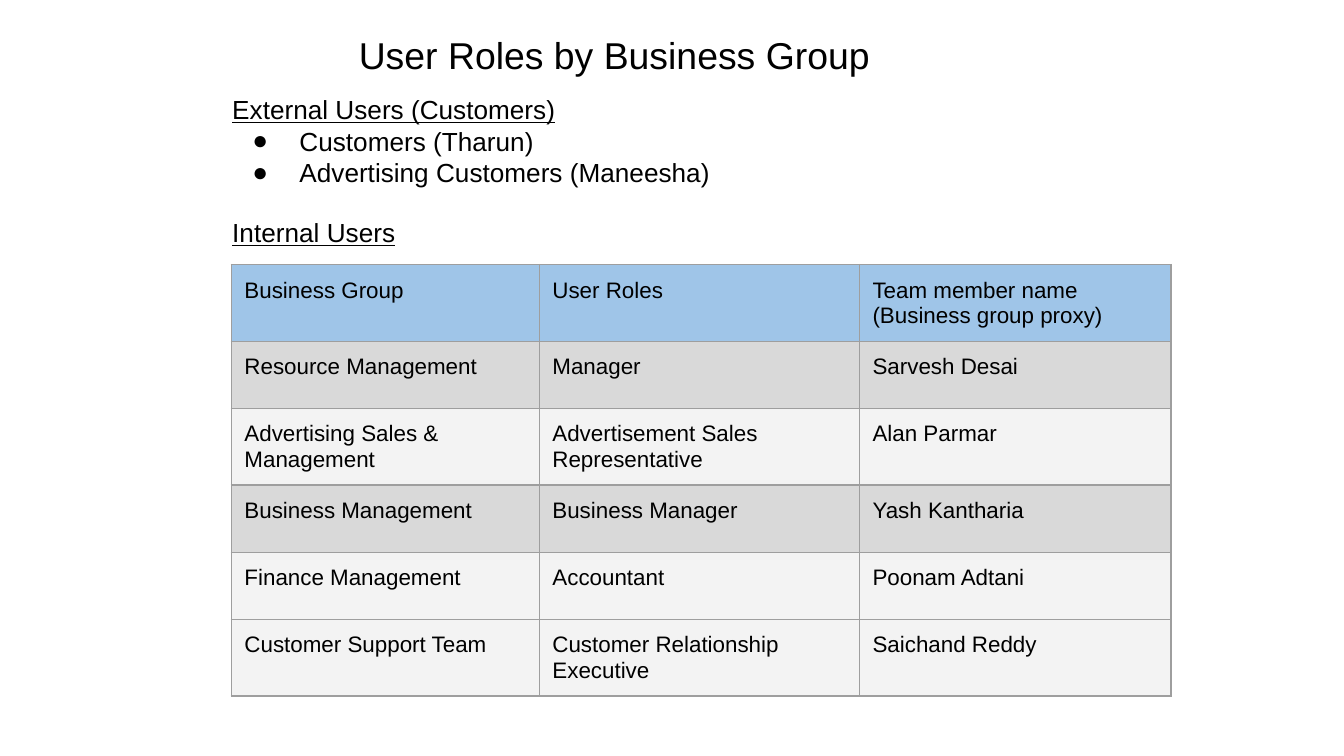
from lxml.etree import SubElement
from pptx import Presentation
from pptx.dml.color import RGBColor
from pptx.enum.text import MSO_ANCHOR as Anchor, MSO_AUTO_SIZE as AutoSize, PP_ALIGN as Align
from pptx.oxml.ns import qn
from pptx.util import Cm, Pt

TITLE = "User Roles by Business Group"
EXTERNAL = ("External Users (Customers)", ["Customers (Tharun)", "Advertising Customers (Maneesha)"])
INTERNAL = ("Internal Users", [])
HEADER = ["Business Group", "User Roles", "Team member name\n(Business group proxy)"]
ROLES = [
    ["Resource Management", "Manager", "Sarvesh Desai"],
    ["Advertising Sales & Management", "Advertisement Sales Representative", "Alan Parmar"],
    ["Business Management", "Business Manager", "Yash Kantharia"],
    ["Finance Management", "Accountant", "Poonam Adtani"],
    ["Customer Support Team", "Customer Relationship Executive", "Saichand Reddy"],
]
BLUE, GREY, LIGHT, BORDER, BLACK = "9FC5E8", "D9D9D9", "F3F3F3", "9E9E9E", "000000"
ROW_FILLS = [BLUE, GREY, LIGHT, GREY, LIGHT, LIGHT]
ROW_HEIGHTS = [1.42, 1.27, 1.42, 1.27, 1.27, 1.27]
COLUMN_WIDTHS = [5.82, 6.05, 5.89]
INSET = Cm(0.25)


def color(code):
    return RGBColor.from_string(code)


def set_insets(target):
    target.margin_left = target.margin_right = INSET
    target.margin_top = target.margin_bottom = INSET


def style(frame, size):
    for para in frame.paragraphs:
        para.alignment = Align.LEFT
        para.font.name = "Arial"
        para.font.size = Pt(size)
        para.font.color.rgb = color(BLACK)


def prepare(box):
    frame = box.text_frame
    frame.word_wrap = True
    frame.auto_size = AutoSize.NONE
    frame.vertical_anchor = Anchor.TOP
    set_insets(frame)
    return frame


def add_bullet(para):
    properties = para._p.get_or_add_pPr()
    properties.set("marL", str(Cm(1.27)))
    properties.set("indent", str(-Cm(0.89)))
    SubElement(properties, qn("a:buFont"), typeface="Arial")
    SubElement(properties, qn("a:buChar"), char="●")


def add_users(page, users, left, top, width, height):
    heading, items = users
    frame = prepare(page.shapes.add_textbox(Cm(left), Cm(top), Cm(width), Cm(height)))
    frame.text = "\n".join([heading, *items])
    style(frame, 14)
    frame.paragraphs[0].font.underline = True
    for para in frame.paragraphs[1:]:
        add_bullet(para)


def add_borders(cell):
    properties = cell._tc.get_or_add_tcPr()
    for side in ("lnL", "lnR", "lnT", "lnB"):
        line = SubElement(properties, qn(f"a:{side}"), w=str(Pt(0.75)))
        fill = SubElement(line, qn("a:solidFill"))
        SubElement(fill, qn("a:srgbClr"), val=BORDER)


def add_roles(page, left, top):
    rows = [HEADER, *ROLES]
    table = page.shapes.add_table(
        len(rows), len(HEADER), Cm(left), Cm(top),
        Cm(sum(COLUMN_WIDTHS)), Cm(sum(ROW_HEIGHTS))).table
    for column, width in zip(table.columns, COLUMN_WIDTHS):
        column.width = Cm(width)
    for row, height, fill, texts in zip(table.rows, ROW_HEIGHTS, ROW_FILLS, rows):
        row.height = Cm(height)
        for cell, text in zip(row.cells, texts):
            cell.text = text
            set_insets(cell)
            style(cell.text_frame, 12)
            add_borders(cell)
            cell.fill.solid()
            cell.fill.fore_color.rgb = color(fill)


def main():
    """Build the slide of user roles by business group."""
    deck = Presentation()
    deck.slide_width, deck.slide_height = Cm(25.4), Cm(14.29)
    page = deck.slides.add_slide(deck.slide_layouts[5])
    title = page.shapes.title
    title.left, title.top, title.width, title.height = Cm(6.53), Cm(0.36), Cm(14.53), Cm(1.37)
    frame = prepare(title)
    frame.text = TITLE
    style(frame, 20)
    add_users(page, EXTERNAL, 4.14, 1.52, 10, 2.31)
    add_users(page, INTERNAL, 4.14, 3.84, 6.3, 1.12)
    add_roles(page, 4.37, 5)
    deck.save("out.pptx")


if __name__ == "__main__":
    main()
